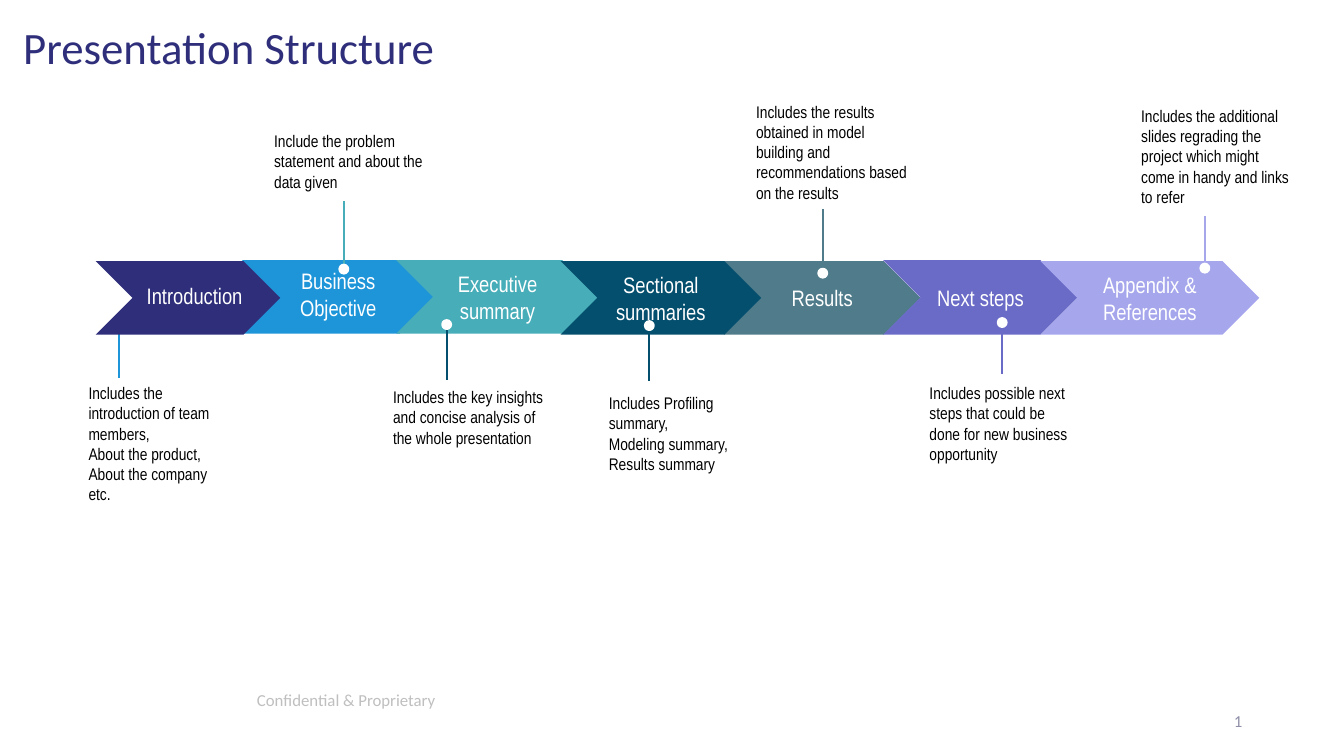
from lxml import etree
from pptx import Presentation
from pptx import util as u
from pptx.dml.color import RGBColor
from pptx.enum import shapes, text
from pptx.oxml.ns import qn

PX = 9144  # 100 px to the inch
HUE = {
    "navy": "2E2E7B", "blue": "1F95D9", "teal": "47ADB9", "deep": "054F6E",
    "slate": "4F7B8A", "violet": "6A6AC7", "lilac": "A6A6ED",
    "white": "FFFFFF", "black": "000000", "gray": "BFBFBF", "dim": "8F8FA9",
}
ALIGN = text.PP_ALIGN
ANCHOR = text.MSO_ANCHOR

deck = Presentation()
deck.slide_width, deck.slide_height = 1333 * PX, 750 * PX
slide = deck.slides.add_slide(deck.slide_layouts[5])
items = slide.shapes


def write(shape, lines, size, hue, font="Arial Narrow", align=ALIGN.LEFT, anchor=ANCHOR.TOP):
    frame = shape.text_frame
    frame.word_wrap = True
    frame.vertical_anchor = anchor
    for i, line in enumerate(lines):
        para = frame.paragraphs[0] if i == 0 else frame.add_paragraph()
        para.alignment = align
        run = para.add_run()
        run.text = line
        run.font.size = u.Pt(size)
        run.font.name = font
        run.font.color.rgb = RGBColor.from_string(HUE[hue])
    return frame


def place(kind, box, fill):
    shape = items.add_shape(kind, *[n * PX for n in box])
    shape.shadow.inherit = False
    shape.fill.solid()
    shape.fill.fore_color.rgb = RGBColor.from_string(HUE[fill])
    shape.line.fill.background()
    return shape


# Title
title = items.title
title.left, title.top, title.width, title.height = [n * PX for n in (23, 26, 1201, 73)]
frame = write(title, ["Presentation Structure"], 32, "navy", "Calibri")
frame.auto_size = text.MSO_AUTO_SIZE.NONE
frame.margin_left = frame.margin_top = frame.margin_right = frame.margin_bottom = 0
frame.paragraphs[0].line_spacing = 0.9

# Footer and slide number
foot = items.add_textbox(245 * PX, 674 * PX, 450 * PX, 40 * PX)
write(foot, ["Confidential & Proprietary"], 12, "gray", "Calibri", anchor=ANCHOR.MIDDLE)
page = items.add_textbox(942 * PX, 695 * PX, 300 * PX, 40 * PX)
frame = write(page, ["4"], 12, "dim", "Calibri", ALIGN.RIGHT, ANCHOR.MIDDLE)
run = frame.paragraphs[0].runs[0]._r
field = etree.Element(qn("a:fld"), id="{B6F15528-21DE-4FAA-801E-634DDDAF4B2B}", type="slidenum")
run.getparent().replace(run, field)
field.extend(list(run))

# Chevrons: left, top, width, height, fill, label
steps = [
    (240, 258, 193, 73, "blue", ""),
    (393, 258, 201, 73, "teal", "Executive summary"),
    (718, 259, 195, 73, "slate", "Results"),
    (876, 258, 193, 74, "violet", "Next steps"),
    (556, 259, 199, 73, "deep", "Sectional summaries"),
    (1032, 259, 217, 73, "lilac", "Appendix & References"),
    (95, 259, 183, 73, "navy", ""),
]
# Pins: centre, dot top, tip, line colour
pins = [
    (118, 312, 375, "blue"), (341, 263, 199, "teal"), (443, 318, 377, "deep"),
    (644, 319, 378, "deep"), (816, 267, 207, "slate"), (994, 316, 371, "violet"),
    (1195, 262, 214, "lilac"),
]


# The first pin goes behind the chevrons, the others in front
for part in pins[:1] + steps + pins[1:]:
    if len(part) == 6:
        *box, fill, label = part
        shape = place(shapes.MSO_SHAPE.CHEVRON, box, fill)
        if label:
            write(shape, [label], 16, "white", align=ALIGN.CENTER, anchor=ANCHOR.MIDDLE)
        continue
    x, top, tip, hue = part
    start = top if tip < top else top + 8
    stem = items.add_connector(shapes.MSO_CONNECTOR.STRAIGHT, x * PX, start * PX, x * PX, tip * PX)
    stem.line.width = u.Pt(1.5)
    stem.line.color.rgb = RGBColor.from_string(HUE[hue])
    etree.SubElement(stem._element.spPr, qn("a:effectLst"))
    dot = place(shapes.MSO_SHAPE.OVAL, (x - 4, top, 8, 8), "white")
    dot.line.width = u.Pt(2)
    dot.line.color.rgb = RGBColor.from_string(HUE["white"])

# Labels laid over the first two chevrons
labels = [
    (107, 275, 172, 37, ["Introduction"]),
    (252, 260, 167, 64, ["Business", "Objective"]),
]
# Notes above and below the band
notes = [
    (78, 375, 144, 151, ["Includes the introduction of team members,",
                         "About the product, About the company etc."]),
    (262, 125, 185, 91, ["Include the problem statement and about the data given"]),
    (380, 379, 180, 91, ["Includes the key insights and concise analysis of the whole presentation"]),
    (594, 385, 180, 91, ["Includes Profiling summary,", "Modeling summary,", "Results summary"]),
    (740, 96, 178, 111, ["Includes the results obtained in model building and "
                         "recommendations based on the results"]),
    (912, 375, 165, 91, ["Includes possible next steps that could be done for new business opportunity"]),
    (1122, 100, 170, 111, ["Includes the additional slides regrading the project "
                           "which might come in handy and links to refer"]),
]
for group, size, hue, align in ((labels, 16, "white", ALIGN.CENTER), (notes, 12, "black", ALIGN.LEFT)):
    for *box, lines in group:
        note = items.add_textbox(*[n * PX for n in box])
        frame = write(note, lines, size, hue, align=align)
        frame.auto_size = text.MSO_AUTO_SIZE.SHAPE_TO_FIT_TEXT

deck.save("out.pptx")
